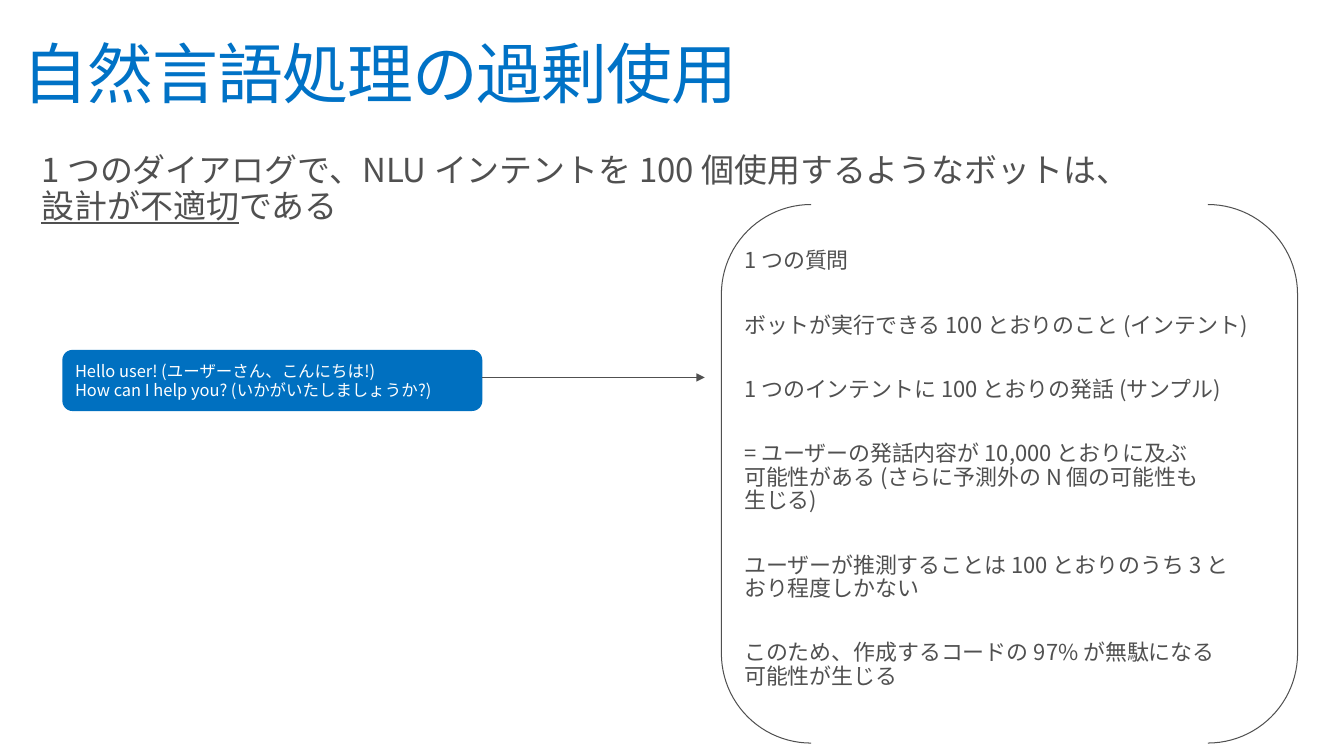
from lxml.etree import SubElement
from pptx import Presentation
from pptx.dml.color import RGBColor
from pptx.enum.shapes import MSO_CONNECTOR, MSO_SHAPE
from pptx.enum.text import MSO_ANCHOR, PP_ALIGN
from pptx.oxml.ns import qn
from pptx.util import Pt

FONT = "Noto Sans CJK JP"
COLORS = {"title": "0072C6", "bubble": "0070C0", "text": "505050", "white": "FFFFFF"}


def rgb(name):
    return RGBColor.from_string(COLORS[name])


def add_text(p, text, size=16, color="text", underline=False, spacing=None):
    """Add text to a paragraph; each newline becomes a line break."""
    for i, line in enumerate(text.split("\n")):
        if i:
            p.add_line_break()
        if not line:
            continue
        r = p.add_run()
        r.text = line
        r.font.size = Pt(size)
        r.font.name = FONT
        r.font.color.rgb = rgb(color)
        if underline:
            r.font.underline = True
        rPr = r.font._element
        SubElement(rPr, qn("a:ea")).set("typeface", FONT)
        if spacing is not None:
            rPr.set("spc", str(round(spacing * 100)))


class SlideBuilder:
    def __init__(self, prs):
        self.s = prs.slides.add_slide(prs.slide_layouts[6])

    def text_box(self, x, y, w, h, paragraphs, inset=(14.4, 11.5), after=0):
        """Each paragraph is a list of (text, format) pairs."""
        tf = self.s.shapes.add_textbox(Pt(x), Pt(y), Pt(w), Pt(h)).text_frame
        tf.word_wrap = True
        tf.margin_left = tf.margin_right = Pt(inset[0])
        tf.margin_top = tf.margin_bottom = Pt(inset[1])
        for i, runs in enumerate(paragraphs):
            p = tf.add_paragraph() if i else tf.paragraphs[0]
            p.line_spacing = 0.9
            p.space_after = Pt(after)
            for text, fmt in runs:
                add_text(p, text, **fmt)

    def shape(self, kind, x, y, w, h, fill=None, line=None):
        sp = self.s.shapes.add_shape(kind, Pt(x), Pt(y), Pt(w), Pt(h))
        sp.shadow.inherit = False
        if fill:
            sp.fill.solid()
            sp.fill.fore_color.rgb = rgb(fill)
        else:
            sp.fill.background()
        if line:
            sp.line.color.rgb = rgb(line)
            sp.line.width = Pt(0.75)
        else:
            sp.line.fill.background()
        return sp

    def bubble(self, x, y, w, h, text):
        sp = self.shape(MSO_SHAPE.ROUNDED_RECTANGLE, x, y, w, h, fill="bubble")
        tf = sp.text_frame
        tf.word_wrap = True
        tf.vertical_anchor = MSO_ANCHOR.MIDDLE
        p = tf.paragraphs[0]
        p.alignment = PP_ALIGN.LEFT
        add_text(p, text, size=12, color="white")

    def arrow(self, x1, y1, x2, y2):
        c = self.s.shapes.add_connector(
            MSO_CONNECTOR.STRAIGHT, Pt(x1), Pt(y1), Pt(x2), Pt(y2))
        c.line.color.rgb = rgb("text")
        c.line.width = Pt(0.75)
        SubElement(c.line._get_or_add_ln(), qn("a:tailEnd")).set("type", "triangle")
        SubElement(c._element.spPr, qn("a:effectLst"))


def main():
    prs = Presentation()
    prs.slide_width, prs.slide_height = Pt(979.2), Pt(550.8)
    slide = SlideBuilder(prs)

    # Title and lead sentence
    slide.text_box(9.4, 23, 936, 72, [
        [("自然言語処理の過剰使用", dict(size=48, color="title", spacing=-0.7))],
    ], inset=(7.2, 7.2))
    slide.text_box(15.8, 100.8, 910.8, 49.7, [[
        ("1 つのダイアログで、NLU インテントを 100 個使用するようなボットは、\n", dict(size=24)),
        ("設計が不適切", dict(size=24, underline=True)),
        ("である", dict(size=24)),
    ]])

    # Bot greeting and arrow
    slide.bubble(45.4, 254.9, 306, 44.6,
                 "Hello user! (ユーザーさん、こんにちは!)\n"
                 "How can I help you? (いかがいたしましょうか?)")
    slide.arrow(351.4, 275, 513.4, 275)

    # Consequences inside the brackets
    consequences = [
        "1 つの質問",
        "ボットが実行できる 100 とおりのこと (インテント)",
        "1 つのインテントに 100 とおりの発話 (サンプル)",
        "= ユーザーの発話内容が 10,000 とおりに及ぶ\n"
        "可能性がある (さらに予測外の N 個の可能性も\n生じる)",
        "ユーザーが推測することは 100 とおりのうち 3 と\nおり程度しかない",
        "このため、作成するコードの 97% が無駄になる\n可能性が生じる",
    ]
    slide.text_box(527.8, 170.6, 418.3, 345.6,
                   [[(text, {})] for text in consequences], after=29.5)
    slide.shape(MSO_SHAPE.DOUBLE_BRACKET, 525.6, 149, 419.8, 392.4, line="text")

    prs.save("out.pptx")


if __name__ == "__main__":
    main()
